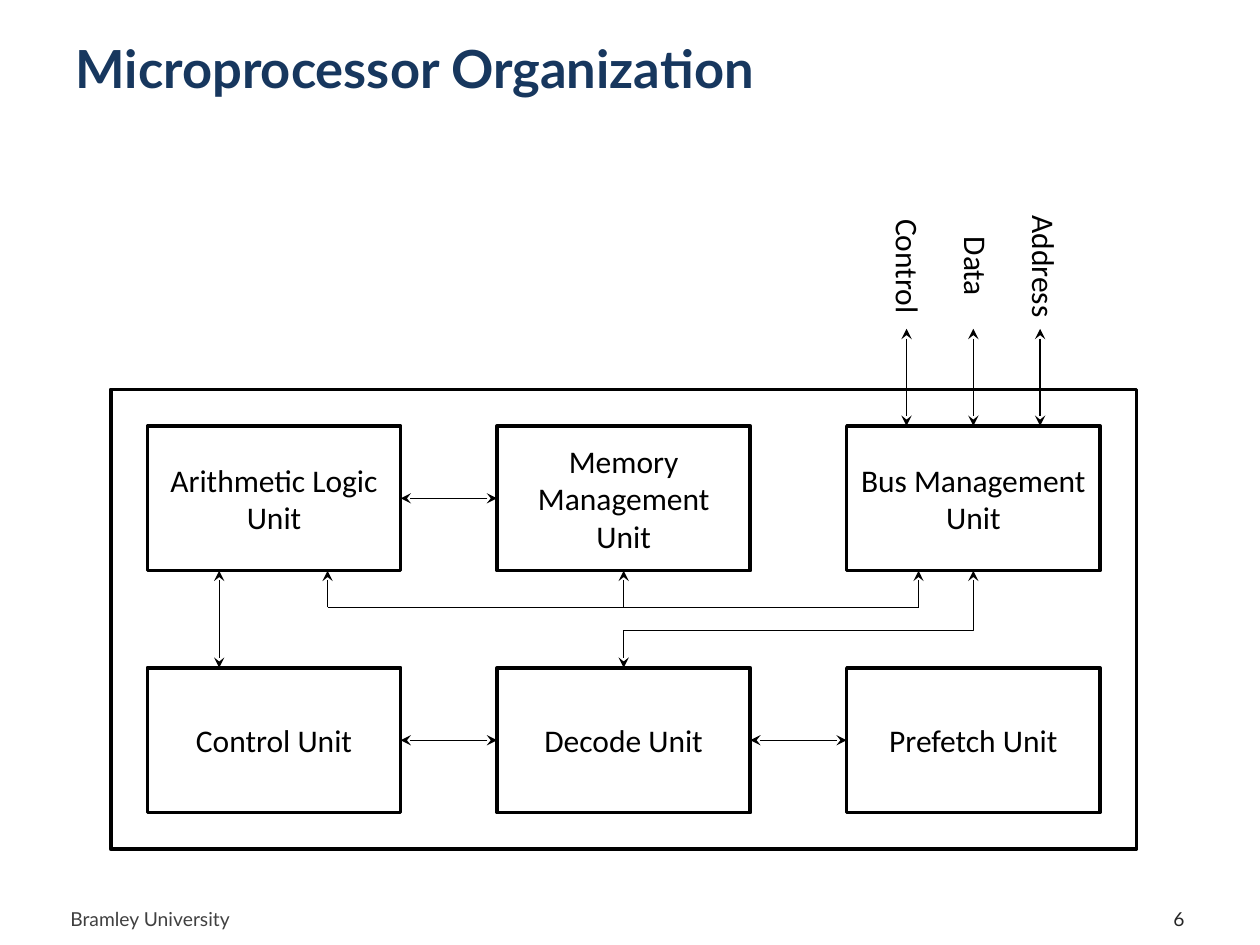
from lxml import etree
from pptx import Presentation
from pptx.dml.color import RGBColor
from pptx.enum.shapes import MSO_CONNECTOR, MSO_SHAPE
from pptx.enum.text import MSO_ANCHOR, MSO_AUTO_SIZE, PP_ALIGN
from pptx.oxml.ns import qn
from pptx.util import Inches, Pt

LEFT, MID, RIGHT = PP_ALIGN.LEFT, PP_ALIGN.CENTER, PP_ALIGN.RIGHT
CENTRE, HIGH = MSO_ANCHOR.MIDDLE, MSO_ANCHOR.TOP
GROW, FIXED = MSO_AUTO_SIZE.SHAPE_TO_FIT_TEXT, MSO_AUTO_SIZE.NONE
RECT = MSO_SHAPE.RECTANGLE
LINE, ELBOW = MSO_CONNECTOR.STRAIGHT, MSO_CONNECTOR.ELBOW
TOP, WEST, BOTTOM, EAST = range(4)

WIDE, TALL = 10, 7.5
BOX_W, BOX_H = 2.01, 1.15
FIRST, LAST = 1.17, 6.72
UPPER, LOWER = 3.38, 5.3
PAD = 0.29
BUS_Y = 4.82
LABEL_Y, LABEL_H = 2.12, 0.4
PORT_Y = 2.61

UNITS = [
    ["Arithmetic Logic Unit", "Memory Management Unit", "Bus Management Unit"],
    ["Control Unit", "Decode Unit", "Prefetch Unit"],
]
PORTS = [("Control", 0.96), ("Data", 0.68), ("Address", 1.02)]


def paint(text):
    return RGBColor.from_string(text)


def col(num):
    return FIRST + num * (LAST - FIRST) / 2


def row(num):
    return UPPER + num * (LOWER - UPPER)


def write(frame, text, size, font, color, align, bold=False):
    para = frame.paragraphs[0]
    para.alignment = align
    run = para.add_run()
    run.text = text
    run.font.size = Pt(size)
    run.font.name = font
    run.font.bold = bold
    run.font.color.rgb = paint(color)


def add_title(slide, text):
    title = slide.shapes.title
    title.left, title.top = Inches(WIDE * 0.05), Inches(0.08)
    title.width, title.height = Inches(WIDE * 0.9), Inches(0.92)
    title.text_frame.vertical_anchor = CENTRE
    write(title.text_frame, text, 30, "Lato", "17375E", LEFT, True)


def add_text(slide, spot, text, size, font, color, align, turn=0):
    box = slide.shapes.add_textbox(*map(Inches, spot))
    box.rotation = turn
    frame = box.text_frame
    frame.word_wrap = not turn
    frame.auto_size = GROW if turn else FIXED
    frame.vertical_anchor = HIGH if turn else CENTRE
    write(frame, text, size, font, color, align)


def add_box(slide, spot, text=None):
    box = slide.shapes.add_shape(RECT, *map(Inches, spot))
    box.shadow.inherit = False
    box.fill.background()
    box.line.color.rgb = paint("000000")
    box.line.width = Pt(2)
    if text:
        frame = box.text_frame
        frame.word_wrap = True
        frame.vertical_anchor = CENTRE
        write(frame, text, 18, "Calibri", "000000", MID)
    return box


def add_line(slide, start, end, tips="", begin=None, stop=None, kind=LINE):
    line = slide.shapes.add_connector(kind, *map(Inches, start + end))
    if begin:
        line.begin_connect(*begin)
    if stop:
        line.end_connect(*stop)
    line.line.color.rgb = paint("000000")
    line.line.width = Pt(0.75)
    stroke = line.line._get_or_add_ln()
    for tip in tips.split():
        etree.SubElement(stroke, qn("a:" + tip), type="stealth")
    etree.SubElement(line._element.spPr, qn("a:effectLst"))
    return line


def add_bend(slide, begin, stop, bend):
    origin = (0, 0)
    line = add_line(slide, origin, origin, "headEnd tailEnd", begin, stop, ELBOW)
    mid_x = (line.begin_x + line.end_x) // 2
    mid_y = (line.begin_y + line.end_y) // 2
    span, drop = line.width, line.height
    line.left, line.top = mid_x - drop // 2, mid_y - span // 2
    line.width, line.height = drop, span
    shape = line._element.spPr
    frame = shape.find(qn("a:xfrm"))
    frame.attrib.pop("flipH", None)
    frame.set("rot", str(90 * 60000))
    geom = shape.find(qn("a:prstGeom"))
    guides = geom.find(qn("a:avLst"))
    if guides is None:
        guides = etree.SubElement(geom, qn("a:avLst"))
    etree.SubElement(guides, qn("a:gd"), name="adj1", fmla=f"val {int(bend * 100000)}")


def add_units(slide):
    return [
        [add_box(slide, (col(c), row(r), BOX_W, BOX_H), name)
         for c, name in enumerate(names)]
        for r, names in enumerate(UNITS)
    ]


def add_links(slide, units):
    both = "headEnd tailEnd"
    base = UPPER + BOX_H
    for r, c in [(0, 0), (1, 0), (1, 1)]:
        y = row(r) + BOX_H / 2
        add_line(slide, (col(c + 1), y), (col(c) + BOX_W, y), both,
                 (units[r][c + 1], WEST), (units[r][c], EAST))
    add_line(slide, (1.74, base), (1.74, LOWER), both)
    ends = (2.6, 7.29)
    add_line(slide, (ends[0], BUS_Y), (ends[1], BUS_Y))
    for x in ends:
        add_line(slide, (x, BUS_Y), (x, base), "tailEnd")
    x = col(1) + BOX_W / 2
    add_line(slide, (x, BUS_Y), (x, base), "tailEnd", stop=(units[0][1], BOTTOM))
    add_bend(slide, (units[0][2], BOTTOM), (units[1][1], TOP), 0.62)


def add_ports(slide, bus):
    for num, (name, size) in enumerate(PORTS):
        x = col(2) + BOX_W / 2 + (num - 1) * 0.53
        mid = 7.21 + num * 0.54
        add_text(slide, (mid - size / 2, LABEL_Y - LABEL_H / 2, size, LABEL_H),
                 name, 18, "Calibri", "000000", LEFT, 90)
        join = (bus, TOP) if num == 1 else None
        add_line(slide, (x, PORT_Y), (x, UPPER), "headEnd tailEnd", stop=join)


def main():
    deck = Presentation()
    deck.slide_width, deck.slide_height = Inches(WIDE), Inches(TALL)
    slide = deck.slides.add_slide(deck.slide_layouts[5])
    add_title(slide, "Microprocessor Organization")
    add_text(slide, (0.46, 7.09, 3.17, 0.4), "Bramley University",
             11, "Lato", "404040", LEFT)
    add_text(slide, (7.17, 7.09, 2.33, 0.4), "6", 11, "Lato", "262626", RIGHT)
    add_box(slide, (FIRST - PAD, UPPER - PAD, LAST - FIRST + BOX_W + 2 * PAD,
                    LOWER - UPPER + BOX_H + 2 * PAD))
    units = add_units(slide)
    add_links(slide, units)
    add_ports(slide, units[0][2])
    deck.save("out.pptx")


if __name__ == "__main__":
    main()
